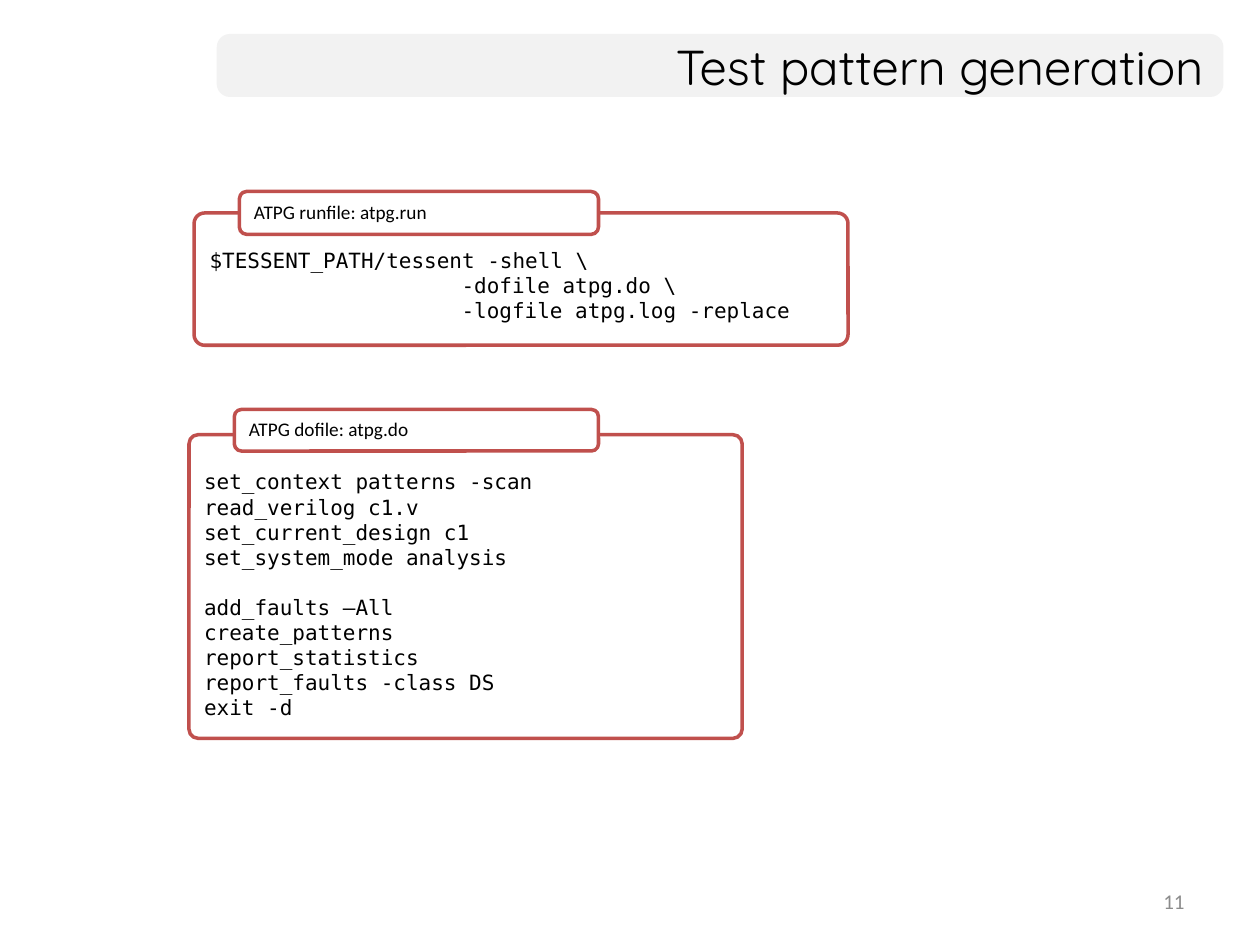
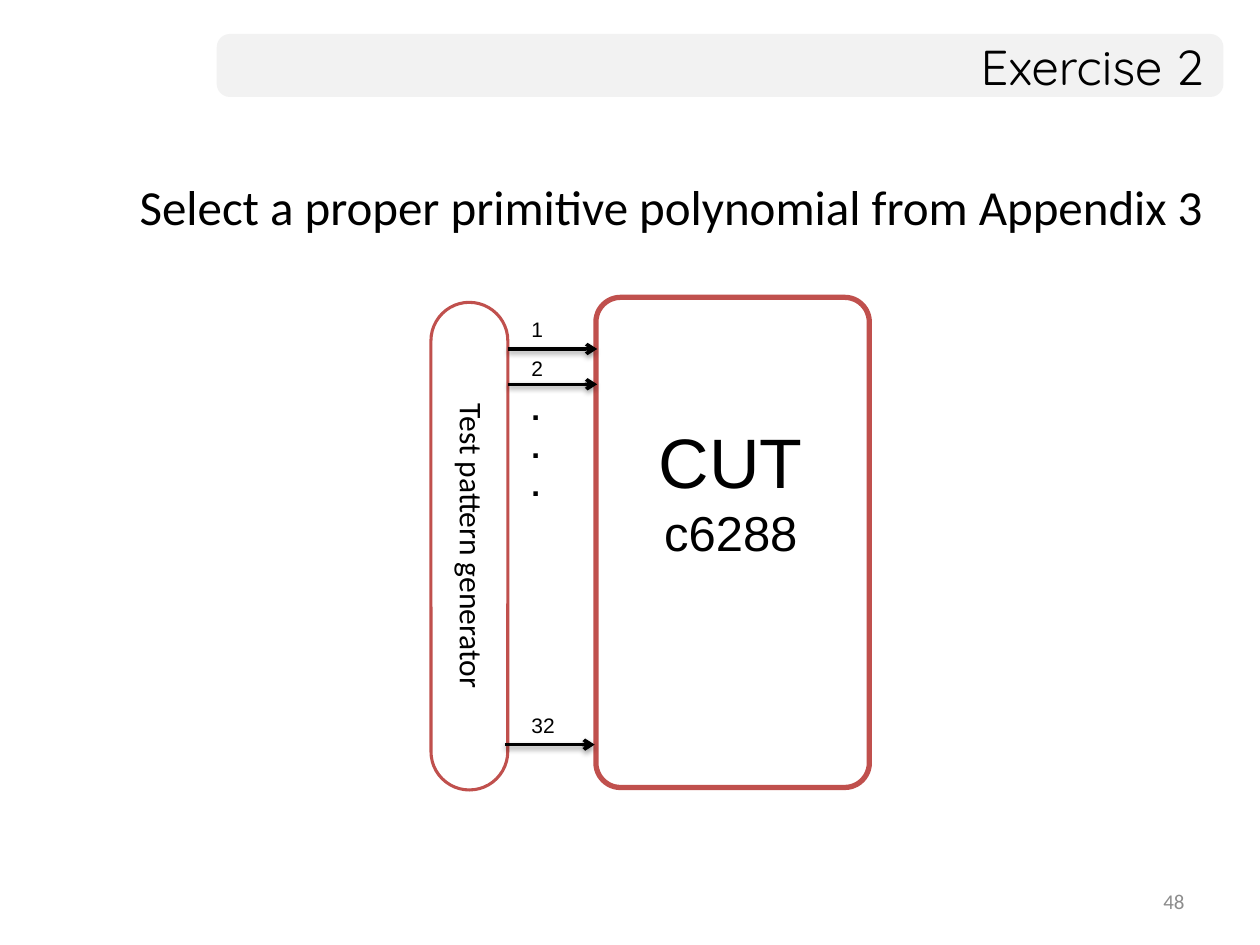
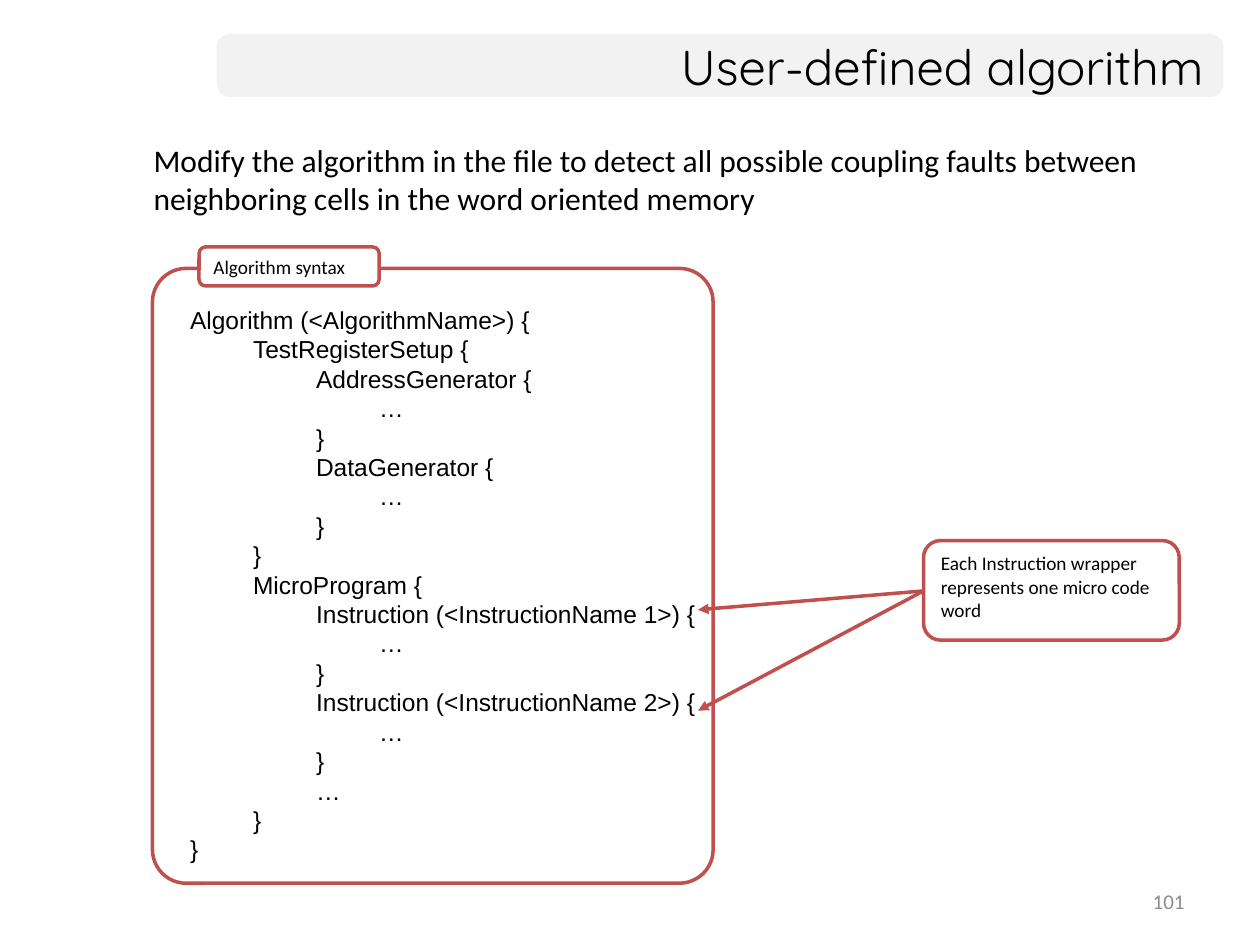
from dataclasses import dataclass
from typing import Optional, Sequence

import lxml.etree
import pptx
import pptx.dml.color
import pptx.enum.shapes
import pptx.enum.text
import pptx.oxml.ns
import pptx.presentation
import pptx.shapes.autoshape
import pptx.shapes.connector
import pptx.slide
import pptx.util

Inches = pptx.util.Inches
Pt = pptx.util.Pt
RGBColor = pptx.dml.color.RGBColor
ALIGN = pptx.enum.text.PP_ALIGN
ANCHOR = pptx.enum.text.MSO_ANCHOR
qn = pptx.oxml.ns.qn

# Shared colours and fonts
BLACK = RGBColor(0x00, 0x00, 0x00)
WHITE = RGBColor(0xFF, 0xFF, 0xFF)
RED = RGBColor(0xC0, 0x50, 0x4D)
BAND_GREY = RGBColor(0xF2, 0xF2, 0xF2)
NUMBER_GREY = RGBColor(0x8C, 0x8C, 0x8C)

TITLE_FONT = "Quicksand"
BODY_FONT = "Calibri"
DIAGRAM_FONT = "Arial"
CODE_FONT = "DejaVu Sans Mono"

INDENT = Inches(0.5)
DEFAULT_CORNER = 0.17


@dataclass(frozen=True)
class Box:
    left: float
    top: float
    width: float
    height: float


@dataclass(frozen=True)
class Style:
    font: str
    size: float
    color: RGBColor = BLACK
    align: pptx.enum.text.PP_ALIGN = ALIGN.LEFT
    bold: bool = False


@dataclass(frozen=True)
class Line:
    text: str
    depth: int = 0
    space_before: float = 0
    size: Optional[float] = None


@dataclass(frozen=True)
class Panel:
    """A framed block with a label on its upper edge."""
    frame: Box
    corner: float
    label_box: Box
    label: str


@dataclass(frozen=True)
class Signal:
    name: str
    left: float
    top: float
    label_top: float


TITLE = Style(TITLE_FONT, 28, align=ALIGN.RIGHT)
NUMBER = Style(BODY_FONT, 12, NUMBER_GREY, ALIGN.RIGHT)
LABEL = Style(BODY_FONT, 11)
CODE = Style(CODE_FONT, 12)
SIGNAL = Style(DIAGRAM_FONT, 12)

RUNFILE = Panel(Box(1.54, 1.69, 5.19, 1.05), 0.08,
                Box(1.9, 1.52, 2.85, 0.34), "ATPG runfile: atpg.run")
RUNFILE_CODE = [
    Line("$TESSENT_PATH/tessent -shell \\"),
    Line("-dofile atpg.do \\", 4),
    Line("-logfile atpg.log -replace", 4),
]

DOFILE = Panel(Box(1.5, 3.45, 4.39, 2.41), 0.03,
               Box(1.86, 3.25, 2.89, 0.33), "ATPG dofile: atpg.do")
DOFILE_CODE = [
    Line("set_context patterns -scan"),
    Line("read_verilog c1.v"),
    Line("set_current_design c1"),
    Line("set_system_mode analysis"),
    Line("add_faults –All", space_before=14),
    Line("create_patterns"),
    Line("report_statistics"),
    Line("report_faults -class DS"),
    Line("exit -d"),
]

SIGNALS = [
    Signal("1", 4.03, 2.77, 2.46),
    Signal("2", 4.03, 3.05, 2.77),
    Signal("32", 4.01, 5.91, 5.61),
]

SYNTAX = Panel(Box(1.21, 2.13, 4.45, 4.88), 0.06,
               Box(1.58, 1.96, 1.43, 0.31), "Algorithm syntax")
SYNTAX_CODE = [
    Line("Algorithm (<AlgorithmName>) {"),
    Line("TestRegisterSetup {", 1),
    Line("AddressGenerator {", 2),
    Line("…", 3),
    Line("}", 2),
    Line("DataGenerator {", 2),
    Line("…", 3),
    Line("}", 2),
    Line("}", 1),
    Line("MicroProgram {", 1),
    Line("Instruction (<InstructionName 1>) {", 2),
    Line("…", 3),
    Line("}", 2),
    Line("Instruction (<InstructionName 2>) {", 2),
    Line("…", 3),
    Line("}", 2),
    Line("…", 2),
    Line("}", 1),
    Line("}"),
]


def write(shape: pptx.shapes.autoshape.Shape, lines: Sequence[Line], style: Style,
          anchor: pptx.enum.text.MSO_ANCHOR = ANCHOR.TOP) -> None:
    frame = shape.text_frame
    frame.word_wrap = True
    frame.vertical_anchor = anchor
    for index, line in enumerate(lines):
        paragraph = frame.add_paragraph() if index else frame.paragraphs[0]
        paragraph.alignment = style.align
        if line.depth:
            properties = paragraph._p.get_or_add_pPr()
            properties.set("marL", str(line.depth * INDENT))
            properties.set("indent", "0")
        if line.space_before:
            paragraph.space_before = Pt(line.space_before)
        run = paragraph.add_run()
        run.text = line.text
        run.font.name = style.font
        run.font.size = Pt(line.size or style.size)
        run.font.color.rgb = style.color
        run.font.bold = style.bold


def place_text(slide: pptx.slide.Slide, box: Box, lines: Sequence[Line], style: Style,
               anchor: pptx.enum.text.MSO_ANCHOR = ANCHOR.TOP) -> None:
    text = slide.shapes.add_textbox(Inches(box.left), Inches(box.top),
                                    Inches(box.width), Inches(box.height))
    write(text, lines, style, anchor)


def rounded(slide: pptx.slide.Slide, box: Box, corner: float = DEFAULT_CORNER,
            fill: RGBColor = WHITE, line_width: float = 2) -> pptx.shapes.autoshape.Shape:
    shape = slide.shapes.add_shape(
        pptx.enum.shapes.MSO_SHAPE.ROUNDED_RECTANGLE,
        Inches(box.left), Inches(box.top), Inches(box.width), Inches(box.height))
    shape.adjustments[0] = corner
    shape.shadow.inherit = False
    shape.fill.solid()
    shape.fill.fore_color.rgb = fill
    if line_width:
        shape.line.color.rgb = RED
        shape.line.width = Pt(line_width)
    else:
        shape.line.fill.background()
    return shape


def arrow(slide: pptx.slide.Slide, start: tuple[float, float], end: tuple[float, float],
          color: RGBColor, head: str, shadow: bool = False) -> None:
    connector = slide.shapes.add_connector(
        pptx.enum.shapes.MSO_CONNECTOR.STRAIGHT,
        Inches(start[0]), Inches(start[1]), Inches(end[0]), Inches(end[1]))
    connector.line.color.rgb = color
    connector.line.width = Pt(2)
    properties = connector._element.spPr
    lxml.etree.SubElement(properties.find(qn("a:ln")), qn("a:tailEnd"), type=head)
    effects = lxml.etree.SubElement(properties, qn("a:effectLst"))
    if shadow:
        cast = lxml.etree.SubElement(effects, qn("a:outerShdw"), blurRad="40000",
                                     dist="20000", dir="5400000", rotWithShape="0")
        tint = lxml.etree.SubElement(cast, qn("a:srgbClr"), val=str(BLACK))
        lxml.etree.SubElement(tint, qn("a:alpha"), val="38000")


def draw_panel(slide: pptx.slide.Slide, panel: Panel) -> pptx.shapes.autoshape.Shape:
    frame = rounded(slide, panel.frame, panel.corner)
    label = rounded(slide, panel.label_box)
    write(label, [Line(panel.label)], LABEL)
    return frame


def draw_code_panel(slide: pptx.slide.Slide, panel: Panel, code: Sequence[Line]) -> None:
    frame = draw_panel(slide, panel)
    frame.text_frame.margin_top = Inches(0.25)
    write(frame, code, CODE)


def new_slide(deck: pptx.presentation.Presentation, title: str,
              number: int) -> pptx.slide.Slide:
    slide = deck.slides.add_slide(deck.slide_layouts[6])
    rounded(slide, Box(1.72, 0.27, 7.99, 0.5), 0.21, BAND_GREY, 0)
    place_text(slide, Box(1.72, 0.27, 7.93, 0.5), [Line(title)], TITLE, ANCHOR.MIDDLE)
    place_text(slide, Box(7.17, 6.95, 2.33, 0.4), [Line(str(number))], NUMBER,
               ANCHOR.MIDDLE)
    return slide


def pattern_generation(deck: pptx.presentation.Presentation) -> None:
    slide = new_slide(deck, "Test pattern generation", 11)
    draw_code_panel(slide, RUNFILE, RUNFILE_CODE)
    draw_code_panel(slide, DOFILE, DOFILE_CODE)


def exercise(deck: pptx.presentation.Presentation) -> None:
    slide = new_slide(deck, "Exercise 2", 48)
    place_text(slide, Box(1.01, 1.35, 8.82, 0.57),
               [Line("Select a proper primitive polynomial from Appendix 3")],
               Style(BODY_FONT, 28))

    # Generator, turned to read downwards
    generator = rounded(slide, Box(1.79, 4.03, 3.87, 0.61), 0.5, line_width=1.75)
    generator.rotation = 90
    generator.text_frame.margin_bottom = Inches(0.1)
    write(generator, [Line("Test pattern generator")],
          Style(BODY_FONT, 18, align=ALIGN.CENTER), ANCHOR.MIDDLE)

    # Circuit under test
    rounded(slide, Box(4.73, 2.36, 2.17, 3.89), 0.09, line_width=3)
    place_text(slide, Box(4.76, 3.27, 2.08, 1.25),
               [Line("CUT", size=40), Line("c6288")],
               Style(DIAGRAM_FONT, 28, align=ALIGN.CENTER))

    # Signals between the two
    for signal in SIGNALS:
        arrow(slide, (signal.left, signal.top), (signal.left + 0.71, signal.top),
              BLACK, "arrow", shadow=True)
        place_text(slide, Box(4.12, signal.label_top, 0.46, 0.3),
                   [Line(signal.name)], SIGNAL)
    place_text(slide, Box(4.12, 3.04, 0.24, 1.01), [Line(".")] * 3,
               Style(DIAGRAM_FONT, 18, bold=True))


def user_algorithm(deck: pptx.presentation.Presentation) -> None:
    slide = new_slide(deck, "User-defined algorithm", 101)
    place_text(slide, Box(1.12, 1.07, 8.61, 0.72),
               [Line("Modify the algorithm in the file to detect all possible coupling "
                     "faults between neighboring cells in the word oriented memory")],
               Style(BODY_FONT, 18))
    draw_panel(slide, SYNTAX)
    place_text(slide, Box(1.41, 2.37, 4.81, 4.58), SYNTAX_CODE, Style(DIAGRAM_FONT, 14))

    # Note on the instruction wrappers
    note = rounded(slide, Box(7.33, 4.29, 2.03, 0.79))
    write(note, [Line("Each Instruction wrapper"), Line("represents one micro code"),
                 Line("word")], Style(BODY_FONT, 11, align=ALIGN.JUSTIFY))
    for instruction_top in (4.84, 5.64):
        arrow(slide, (7.33, 4.69), (5.54, instruction_top), RED, "triangle")


def main() -> None:
    deck = pptx.Presentation()
    deck.slide_width = Inches(10)
    deck.slide_height = Inches(7.5)
    pattern_generation(deck)
    exercise(deck)
    user_algorithm(deck)
    deck.save("out.pptx")


if __name__ == "__main__":
    main()
